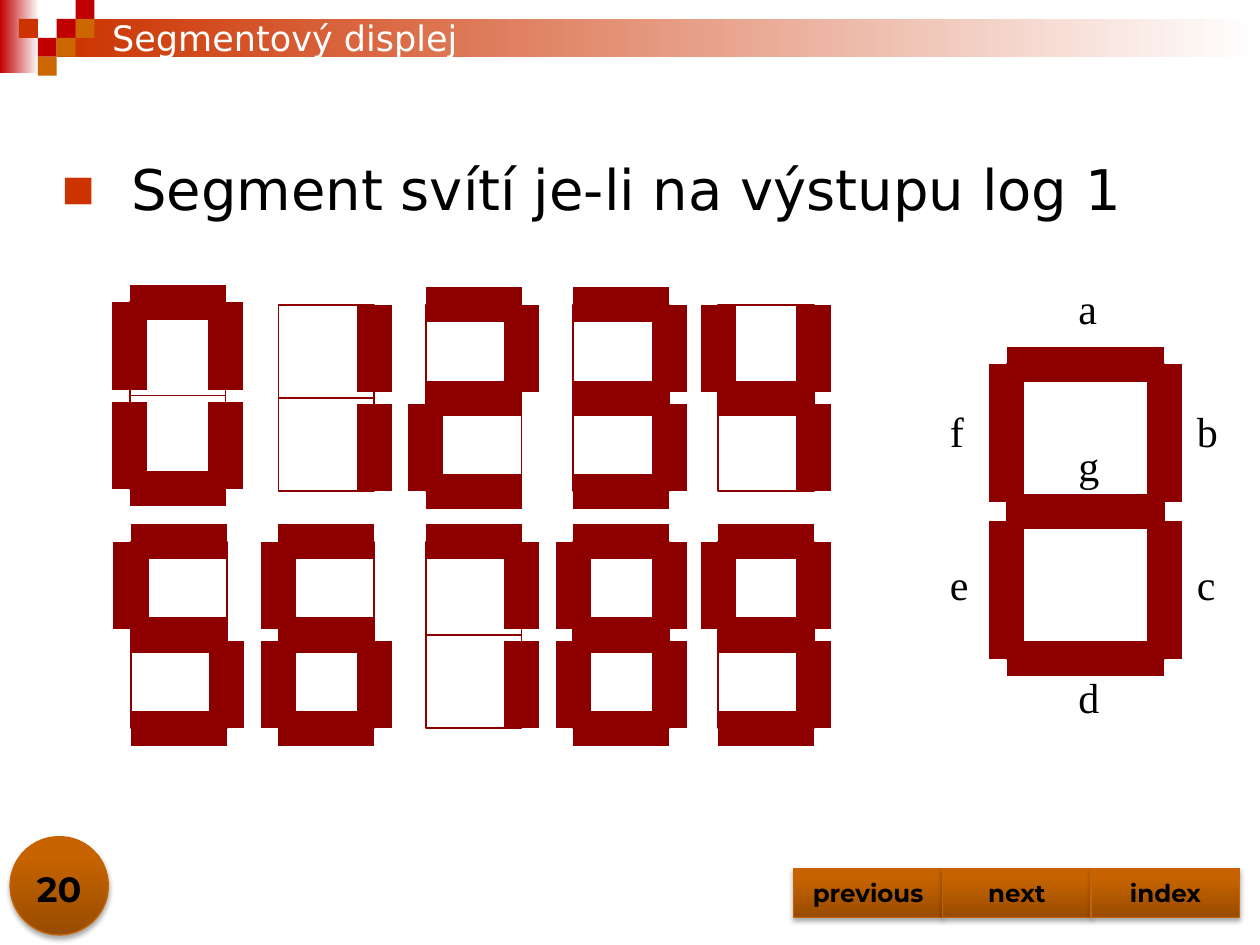
from pptx import Presentation
from pptx.dml.color import RGBColor
from pptx.enum.shapes import MSO_CONNECTOR, MSO_SHAPE as Shape
from pptx.enum.text import MSO_ANCHOR as Anchor, MSO_AUTO_SIZE as Fit, PP_ALIGN as Align
from pptx.oxml import parse_xml
from pptx.oxml.ns import nsdecls
from pptx.util import Inches, Pt

TITLE = "Segmentový displej"
POINT = "Segment svítí je-li na výstupu log 1"
PAGE = "20"
BUTTONS = ["previous", "next", "index"]

# lit segments, left, top
DIGITS = [
    ("abcdef", 1.03, 2.4), ("bc", 2.21, 2.42), ("abged", 3.38, 2.42),
    ("abgcd", 4.55, 2.42), ("fgbc", 5.7, 2.42),
    ("afgcd", 1.04, 4.3), ("afgedc", 2.21, 4.3), ("abc", 3.38, 4.3),
    ("abcdefg", 4.55, 4.3), ("abcfgd", 5.7, 4.3),
]
CELL = (0.76, 0.74)
KEY = ("abcdefg", 7.99, 2.89)
KEY_CELL = (1.25, 1.17)
LABELS = {"a": (8.46, 2.19), "b": (9.4, 3.17), "c": (9.4, 4.38), "d": (8.46, 5.28),
          "e": (7.44, 4.38), "f": (7.44, 3.17), "g": (8.46, 3.44)}

# ends of each segment, in cells across and down
GAP = 0.065
SEGMENTS = {
    "a": (0, 0, 1, 0), "g": (0, 1, 1, 1), "d": (0, 2, 1, 2),
    "b": (1, 1 - GAP, 1, 0), "c": (1, 2, 1, 1 + GAP),
    "e": (0, 2, 0, 1 + GAP), "f": (0, 1 - GAP, 0, 0),
}

RED, ORANGE, BROWN, LED = "C00000", "CC3300", "CC6600", "8E0000"
STEP = 0.15
# column and row of each header square
PIXELS = [(3, 1, RED), (4, 0, RED), (4, 1, BROWN), (2, 2, RED),
          (1, 1, ORANGE), (3, 2, BROWN), (2, 3, BROWN)]

HEAD = {"name": "DejaVu Sans", "size": Pt(20), "bold": False}
BODY = {"name": "DejaVu Sans", "size": Pt(32)}
TAG = {"name": "Times New Roman", "size": Pt(24)}
NAV = {"name": "Montserrat", "size": Pt(14), "bold": True}
NUMBER = {**NAV, "size": Pt(20)}


def rgb(code):
    return RGBColor.from_string(code)


def place(shape, *box):
    for name, size in zip(("left", "top", "width", "height"), box):
        setattr(shape, name, Inches(size))


def write(shape, text, font, color="000000", **frame):
    align = frame.pop("align", Align.LEFT)
    for name, value in frame.items():
        setattr(shape.text_frame, name, value)
    par = shape.text_frame.paragraphs[0]
    par.alignment = align
    run = par.add_run()
    run.text = text
    for name, value in font.items():
        setattr(run.font, name, value)
    run.font.color.rgb = rgb(color)


def add_box(shapes, kind, *box):
    shape = shapes.add_shape(kind, *map(Inches, box))
    shape.shadow.inherit = False
    shape.fill.background()
    shape.line.fill.background()
    return shape


def blend(shape, first, last, angle=0, end=1.0):
    shape.fill.gradient()
    shape.fill.gradient_angle = angle
    for stop, color, pos in zip(shape.fill.gradient_stops, (first, last), (0, end)):
        stop.color.rgb = rgb(color)
        stop.position = pos


def outline(shape, color, width):
    shape.line.color.rgb = rgb(color)
    shape.line.width = Pt(width)


def add_button(shapes, kind, *box):
    shape = add_box(shapes, kind, *box)
    blend(shape, "984C00", "C66300", 90, 0.8)
    outline(shape, "C86400", 0.75)
    effects = shape._element.spPr.find(".//{*}effectLst")
    effects.append(parse_xml(
        f'<a:outerShdw {nsdecls("a")} blurRad="{Pt(3.1)}" dist="{Pt(1.8)}" dir="5400000" '
        'rotWithShape="0"><a:srgbClr val="000000"><a:alpha val="35000"/></a:srgbClr>'
        '</a:outerShdw>'))
    return shape


def add_digit(shapes, lit, left, top, cell):
    wide, high = cell
    for row in range(2):
        outline(add_box(shapes, Shape.RECTANGLE, left, top + row * high, wide, high), LED, 1)
    for name in lit:
        x1, y1, x2, y2 = SEGMENTS[name]
        ends = (left + x1 * wide, top + y1 * high, left + x2 * wide, top + y2 * high)
        line = shapes.add_connector(MSO_CONNECTOR.STRAIGHT, *map(Inches, ends))
        outline(line, LED, 20)
        line._element.spPr.append(parse_xml(f'<a:effectLst {nsdecls("a")}/>'))


def add_header(shapes):
    blend(add_box(shapes, Shape.RECTANGLE, 0, 0, 0.31, 0.58), RED, "FFFFFF")
    blend(add_box(shapes, Shape.RECTANGLE, 0.45, STEP, 9.55, 0.3), ORANGE, "FFFFFF")
    for col, row, color in PIXELS:
        pixel = add_box(shapes, Shape.RECTANGLE, col * STEP, row * STEP, STEP, STEP)
        pixel.fill.solid()
        pixel.fill.fore_color.rgb = rgb(color)


def add_point(body):
    place(body, 0.39, 1.18, 9.64, 0.64)
    props = body.text_frame.paragraphs[0]._p.get_or_add_pPr()
    props.set("marL", str(Inches(0.55)))
    props.set("indent", str(-Inches(0.55)))
    for xml in (f'buClr {nsdecls("a")}><a:srgbClr val="{ORANGE}"/></a:buClr>',
                f'buSzPct {nsdecls("a")} val="62000"/>',
                f'buFont {nsdecls("a")} typeface="DejaVu Sans"/>',
                f'buChar {nsdecls("a")} char="■"/>'):
        props.append(parse_xml("<a:" + xml))
    body.text_frame.paragraphs[0].space_before = Pt(0)
    write(body, POINT, BODY, auto_size=Fit.SHAPE_TO_FIT_TEXT)


def main():
    deck = Presentation()
    deck.slide_width, deck.slide_height = Inches(10), Inches(7.5)
    slide = deck.slides.add_slide(deck.slide_layouts[1])
    shapes = slide.shapes
    title, body = slide.placeholders

    add_header(shapes.add_group_shape().shapes)
    add_point(body)

    key = shapes.add_group_shape().shapes
    add_digit(key, *KEY, KEY_CELL)
    for text, (left, top) in LABELS.items():
        label = key.add_textbox(*map(Inches, (left, top, 0.36, 0.5)))
        write(label, text, TAG, word_wrap=False, auto_size=Fit.SHAPE_TO_FIT_TEXT)
    for digit in DIGITS:
        add_digit(shapes.add_group_shape().shapes, *digit, CELL)

    place(title, 0.79, 0.08, 8.5, 0.44)
    write(title, TITLE, HEAD, "FFFFFF", vertical_anchor=Anchor.MIDDLE)
    shapes._spTree.append(title._element)  # bring above the header bar

    for i, text in enumerate(BUTTONS):
        button = add_button(shapes, Shape.ACTION_BUTTON_CUSTOM, 6.3 + 1.18 * i, 6.89, 1.18, 0.39)
        write(button, text, NAV, align=Align.CENTER, vertical_anchor=Anchor.MIDDLE)
    add_button(shapes, Shape.OVAL, 0.08, 6.64, 0.78, 0.78)
    number = shapes.add_textbox(*map(Inches, (0, 6.77, 0.94, 0.5)))
    write(number, PAGE, NUMBER, align=Align.CENTER, word_wrap=True,
          vertical_anchor=Anchor.BOTTOM)
    deck.save("out.pptx")


if __name__ == "__main__":
    main()
